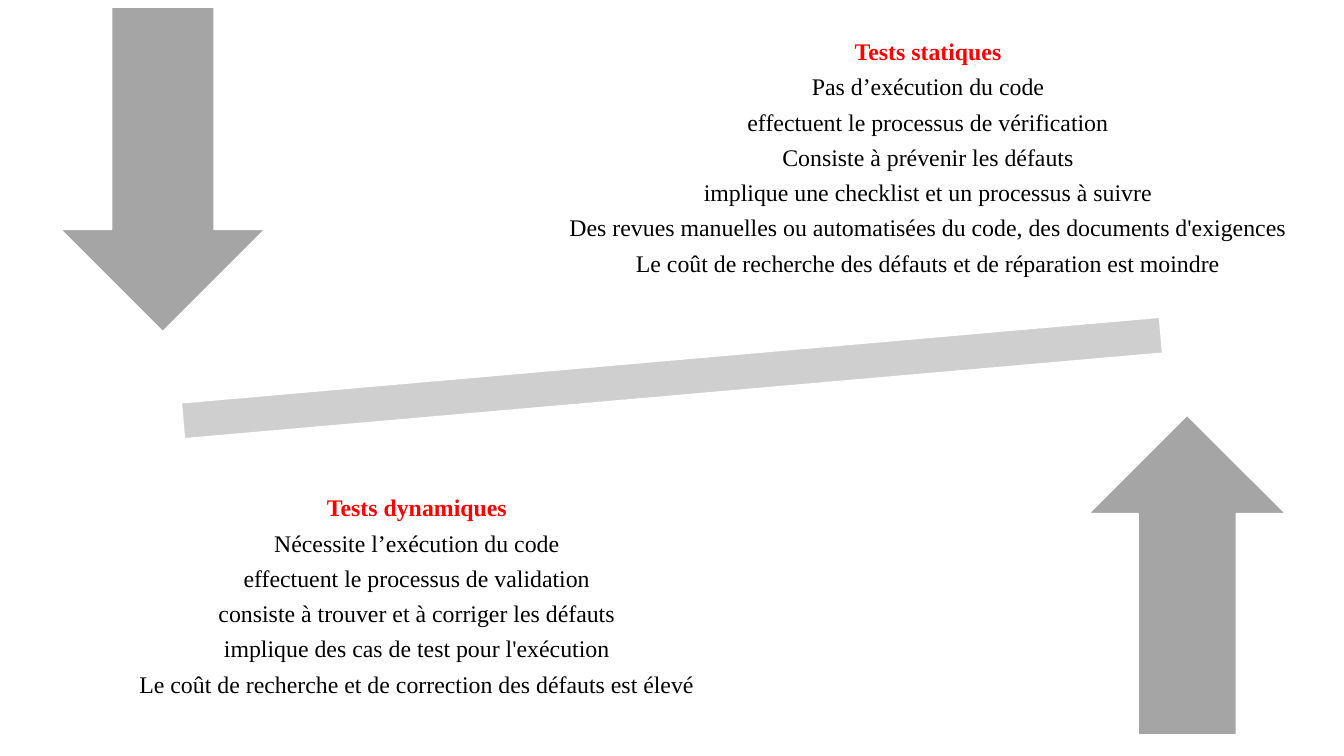
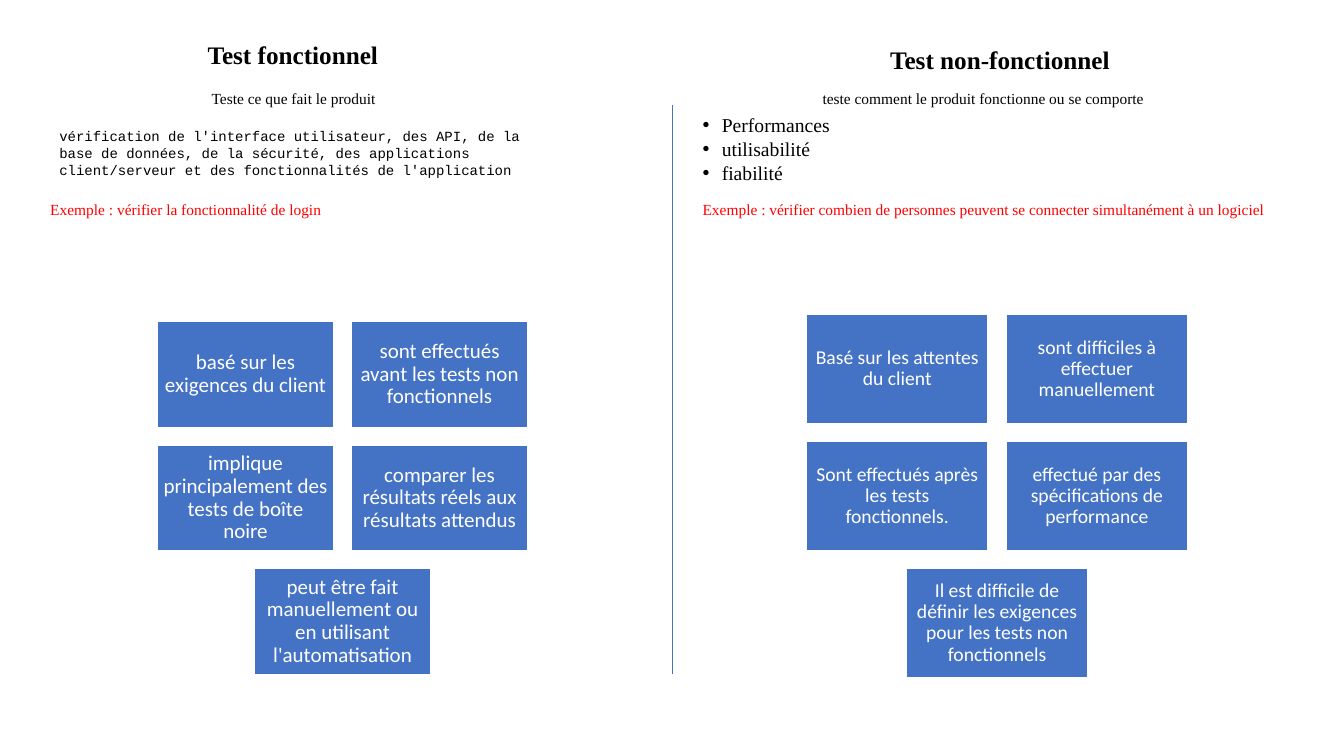
from dataclasses import dataclass

from lxml.etree import SubElement
from pptx import Presentation
from pptx.dml.color import RGBColor
from pptx.enum.shapes import MSO_CONNECTOR as Connector, MSO_SHAPE as Preset
from pptx.enum.text import MSO_ANCHOR as Anchor, PP_ALIGN as Align
from pptx.oxml.ns import qn
from pptx.util import Inches, Pt

COLORS = {
    "black": "000000",
    "white": "FFFFFF",
    "red": "FF0000",
    "blue": "4472C4",
    "arrow": "A5A5A5",
    "bar": "CFCFCF",
}
SERIF, SANS, MONO = "Times New Roman", "Calibri", "Courier New"


@dataclass(frozen=True)
class Box:
    left: float
    top: float
    width: float
    height: float

    def lengths(self):
        return [Inches(v) for v in (self.left, self.top, self.width, self.height)]


@dataclass(frozen=True)
class Style:
    size: float
    color: str = "black"
    font: str = SERIF
    bold: bool = False


@dataclass(frozen=True)
class Label:
    box: Box
    lines: tuple[str, ...]
    style: Style
    anchor: Anchor = Anchor.MIDDLE
    bulleted: bool = False


@dataclass(frozen=True)
class Comparison:
    """A heading with its list of characteristics."""
    box: Box
    heading: str
    lines: tuple[str, ...]


@dataclass(frozen=True)
class Symbol:
    preset: Preset
    box: Box
    fill: str
    rotation: float = 0


@dataclass(frozen=True)
class TileGrid:
    left: float
    top: float
    tile_width: float
    font_size: float
    texts: tuple[str, ...]


HEADING = Style(17, "red", bold=True)
BODY = Style(17)
TITLE = Style(18, bold=True)
SUBTITLE = Style(11)
EXAMPLE = Style(11, "red")

SYMBOLS = (
    Symbol(Preset.MATH_MINUS, Box(0.04, 2.99, 13.25, 1.52), "bar", 355),
    Symbol(Preset.DOWN_ARROW, Box(0.6, 0.07, 2.03, 3.22), "arrow"),
    Symbol(Preset.UP_ARROW, Box(10.8, 4.12, 1.95, 3.17), "arrow"),
)
COMPARISONS = (
    Comparison(Box(5.12, 0, 8.17, 3.15), "Tests statiques", (
        "Pas d’exécution du code",
        "effectuent le processus de vérification",
        "Consiste à prévenir les défauts",
        "implique une checklist et un processus à suivre",
        "Des revues manuelles ou automatisées du code, des documents d'exigences",
        "Le coût de recherche des défauts et de réparation est moindre",
    )),
    Comparison(Box(0.36, 4.35, 7.55, 3.15), "Tests dynamiques", (
        "Nécessite l’exécution du code",
        "effectuent le processus de validation",
        "consiste à trouver et à corriger les défauts",
        "implique des cas de test pour l'exécution",
        "Le coût de recherche et de correction des défauts est élevé",
    )),
)
LABELS = (
    Label(Box(1.96, 0.34, 2.01, 0.4), ("Test fonctionnel",), TITLE, Anchor.TOP),
    Label(Box(8.73, 0.39, 2.64, 0.4), ("Test non-fonctionnel",), TITLE, Anchor.TOP),
    Label(Box(2, 0.83, 2.12, 0.29), ("Teste ce que fait le produit",), SUBTITLE),
    Label(Box(8.06, 0.83, 3.56, 0.29),
          ("teste comment le produit fonctionne ou se comporte",), SUBTITLE),
    Label(Box(0.49, 1.3, 5.15, 0.44),
          ("vérification de l'interface utilisateur, des API, de la base de données, "
           "de la sécurité, des applications client/serveur et des fonctionnalités "
           "de l'application",), Style(10, font=MONO)),
    Label(Box(6.87, 1.07, 2.82, 0.81),
          ("Performances", "utilisabilité", "fiabilité"), Style(14), bulleted=True),
    Label(Box(0.4, 1.93, 5.94, 0.29),
          ("Exemple : vérifier la fonctionnalité de login",), EXAMPLE),
    Label(Box(6.87, 1.93, 5.94, 0.29),
          ("Exemple : vérifier combien de personnes peuvent se connecter "
           "simultanément à un logiciel",), EXAMPLE),
)
GRIDS = (
    TileGrid(8, 3.12, 1.8, 14, (
        "Basé sur les attentes du client",
        "sont difficiles à effectuer manuellement",
        "Sont effectués après les tests fonctionnels.",
        "effectué par des spécifications de performance",
        "Il est difficile de définir les exigences pour les tests non fonctionnels",
    )),
    TileGrid(1.56, 3.19, 1.75, 15, (
        "basé sur les exigences du client",
        "sont effectués avant les tests non fonctionnels",
        "implique principalement des tests de boîte noire",
        "comparer les résultats réels aux résultats attendus",
        "peut être fait manuellement ou en utilisant l'automatisation",
    )),
)


def rgb(name: str) -> RGBColor:
    return RGBColor.from_string(COLORS[name])


def add_run(paragraph, text: str, style: Style) -> None:
    run = paragraph.add_run()
    run.text = text
    run.font.size = Pt(style.size)
    run.font.name = style.font
    run.font.bold = style.bold
    run.font.color.rgb = rgb(style.color)


def add_bullet(paragraph) -> None:
    properties = paragraph._p.get_or_add_pPr()
    properties.set("marL", str(Inches(0.19)))
    properties.set("indent", str(-Inches(0.19)))
    SubElement(properties, qn("a:buFont")).set("typeface", "Arial")
    SubElement(properties, qn("a:buChar")).set("char", "•")


def set_up_frame(frame, anchor: Anchor, inset: float | None = None) -> None:
    frame.word_wrap = True
    frame.vertical_anchor = anchor
    if inset is not None:
        frame.margin_left = frame.margin_right = Inches(inset)
        frame.margin_top = frame.margin_bottom = Inches(inset)


def paragraph_at(frame, index: int):
    return frame.add_paragraph() if index else frame.paragraphs[0]


def add_symbol(slide, symbol: Symbol):
    shape = slide.shapes.add_shape(symbol.preset, *symbol.box.lengths())
    shape.rotation = symbol.rotation
    shape.shadow.inherit = False
    shape.fill.solid()
    shape.fill.fore_color.rgb = rgb(symbol.fill)
    shape.line.color.rgb = rgb("white")
    shape.line.width = Pt(1)
    return shape


def add_comparison(slide, comparison: Comparison) -> None:
    frame = slide.shapes.add_textbox(*comparison.box.lengths()).text_frame
    set_up_frame(frame, Anchor.MIDDLE, 0.13)
    for index, text in enumerate((comparison.heading, *comparison.lines)):
        paragraph = paragraph_at(frame, index)
        paragraph.alignment = Align.CENTER
        paragraph.line_spacing = 0.9
        paragraph.space_after = Pt(6.8)
        add_run(paragraph, text, BODY if index else HEADING)


def add_label(slide, label: Label) -> None:
    frame = slide.shapes.add_textbox(*label.box.lengths()).text_frame
    set_up_frame(frame, label.anchor)
    for index, text in enumerate(label.lines):
        paragraph = paragraph_at(frame, index)
        if label.bulleted:
            add_bullet(paragraph)
        add_run(paragraph, text, label.style)


def add_tile_grid(slide, grid: TileGrid) -> None:
    """Two tiles a row; a lone last tile is centred."""
    width, height, gap = grid.tile_width, grid.tile_width * 0.6, grid.tile_width * 0.1
    style = Style(grid.font_size, "white", SANS)
    for index, text in enumerate(grid.texts):
        row, column = divmod(index, 2)
        alone = column == 0 and index == len(grid.texts) - 1
        left = grid.left + (0.5 if alone else column) * (width + gap)
        box = Box(left, grid.top + row * (height + gap), width, height)
        frame = add_symbol(slide, Symbol(Preset.RECTANGLE, box, "blue")).text_frame
        set_up_frame(frame, Anchor.MIDDLE, 0.06)
        paragraph = frame.paragraphs[0]
        paragraph.alignment = Align.CENTER
        paragraph.line_spacing = 0.9
        add_run(paragraph, text, style)


def add_divider(slide) -> None:
    line = slide.shapes.add_connector(
        Connector.STRAIGHT, Inches(6.67), Inches(1.04), Inches(6.67), Inches(6.69))
    line.line.color.rgb = rgb("blue")
    line.line.width = Pt(0.5)
    SubElement(line._element.spPr, qn("a:effectLst"))


def build_static_dynamic(slide) -> None:
    for symbol in SYMBOLS:
        add_symbol(slide, symbol)
    for comparison in COMPARISONS:
        add_comparison(slide, comparison)


def build_functional(slide) -> None:
    add_divider(slide)
    for label in LABELS:
        add_label(slide, label)
    for grid in GRIDS:
        add_tile_grid(slide, grid)


def main() -> None:
    presentation = Presentation()
    presentation.slide_width = Inches(13.33)
    presentation.slide_height = Inches(7.5)
    blank = presentation.slide_layouts[6]
    for build in (build_static_dynamic, build_functional):
        build(presentation.slides.add_slide(blank))
    presentation.save("out.pptx")


if __name__ == "__main__":
    main()
